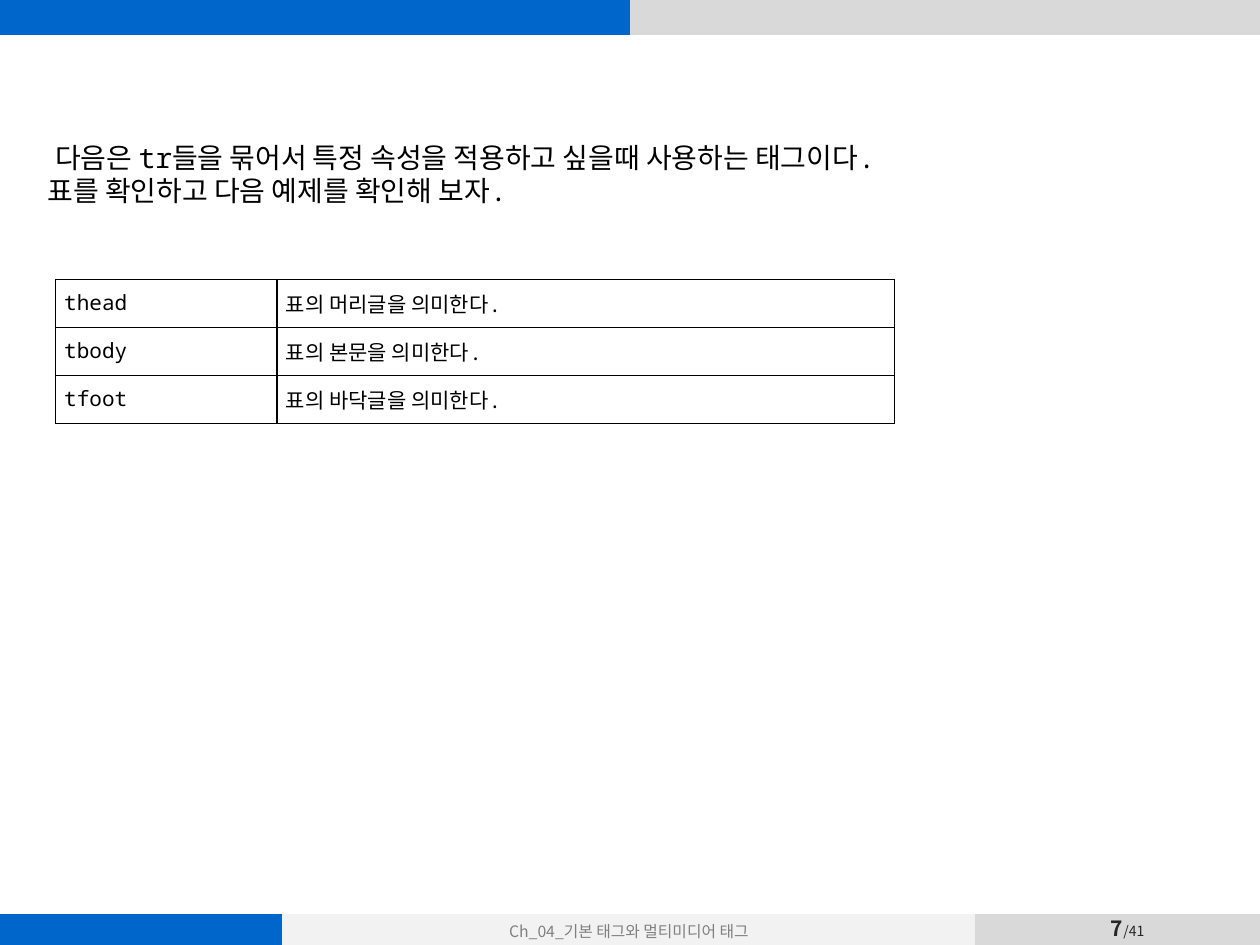
from dataclasses import dataclass

from lxml import etree
from pptx import Presentation, util as u
from pptx.dml.color import RGBColor
from pptx.enum import text
from pptx.oxml.ns import qn

PLAIN_TABLE_STYLE = "{2D5ABB26-0587-4C30-8999-92F81FD0307C}"


@dataclass(frozen=True)
class Theme:
    blue: str = "0066CC"
    gray: str = "D9D9D9"
    pale: str = "F2F2F2"
    muted: str = "808080"
    dark: str = "262626"
    black: str = "000000"
    sans: str = "Noto Sans CJK KR"
    mono: str = "Noto Sans Mono"
    lead: int = 16
    body: int = 12
    footer: int = 9
    small: int = 8


THEME = Theme()


def add_text(para, words, size=THEME.body, font=THEME.mono, color=THEME.black,
             bold=False, align=text.PP_ALIGN.LEFT):
    """Add a run in the given font, with Korean letters in the sans font."""
    para.alignment = align
    span = para.add_run()
    span.text = words
    span.font.size = u.Pt(size)
    span.font.bold = bold
    span.font.name = font
    span.font.color.rgb = RGBColor.from_string(color)
    etree.SubElement(span.font._element, qn("a:ea"), typeface=THEME.sans)


def set_margins(target, horizontal, vertical):
    target.margin_left = target.margin_right = u.Inches(horizontal)
    target.margin_top = target.margin_bottom = u.Inches(vertical)


def draw_borders(cell, color, width=1):
    properties = cell._tc.get_or_add_tcPr()
    for side in ("lnL", "lnR", "lnT", "lnB"):
        line = etree.SubElement(properties, qn(f"a:{side}"), w=str(u.Pt(width)))
        fill = etree.SubElement(line, qn("a:solidFill"))
        etree.SubElement(fill, qn("a:srgbClr"), val=color)


class SlideBuilder:
    """Places elements on a grid of 10 columns by 7.5 rows."""

    columns, rows = 10, 7.5

    def __init__(self, deck, theme):
        self.theme = theme
        self.column = deck.slide_width / self.columns
        self.row = deck.slide_height / self.rows
        self.slide = deck.slides.add_slide(deck.slide_layouts[6])

    def place(self, left, top, width, height):
        return (round(left * self.column), round(top * self.row),
                round(width * self.column), round(height * self.row))

    def table(self, left, top, widths, row_height, row_count=1):
        area = self.place(left, top, sum(widths), row_height * row_count)
        frame = self.slide.shapes.add_table(row_count, len(widths), *area)
        table = frame.table
        table.first_row = table.horz_banding = False
        table._tbl.tblPr.find(qn("a:tableStyleId")).text = PLAIN_TABLE_STYLE
        for column, width in zip(table.columns, widths):
            column.width = round(width * self.column)
        return table

    def band(self, top, height, widths, fills):
        """Draw a full-width strip of coloured cells."""
        table = self.table(0, top, widths, height)
        for cell, color in zip(table.iter_cells(), fills):
            set_margins(cell, 0, 0)
            cell.vertical_anchor = text.MSO_ANCHOR.MIDDLE
            cell.fill.solid()
            cell.fill.fore_color.rgb = RGBColor.from_string(color)
            ending = cell.text_frame.paragraphs[0]._p.get_or_add_endParaRPr()
            ending.set("sz", str(self.theme.small * 100))
        return table

    def definitions(self, left, top, widths, row_height, entries):
        table = self.table(left, top, widths, row_height, len(entries))
        words = [part for entry in entries for part in entry]
        for cell, content in zip(table.iter_cells(), words):
            set_margins(cell, 0.07, 0.07)
            draw_borders(cell, self.theme.black)
            cell.fill.background()
            add_text(cell.text_frame.paragraphs[0], content)

    def text_box(self, left, top, width, height, margins=(0.1, 0.05)):
        box = self.slide.shapes.add_textbox(*self.place(left, top, width, height))
        frame = box.text_frame
        frame.word_wrap = True
        frame.vertical_anchor = text.MSO_ANCHOR.MIDDLE
        set_margins(frame, *margins)
        return frame


def main():
    deck = Presentation()
    deck.slide_width, deck.slide_height = u.Inches(10), u.Inches(7.5)
    theme = THEME
    page = SlideBuilder(deck, theme)

    page.band(0, 0.28, [5, 5], [theme.blue, theme.gray])
    footer = page.band(7.25, 0.27, [2.24, 5.5, 0.03, 1.34, 0.91],
                       [theme.blue, theme.pale] + [theme.gray] * 3)
    add_text(footer.cell(0, 1).text_frame.paragraphs[0],
             "Ch_04_기본 태그와 멀티미디어 태그", size=theme.footer,
             font=theme.sans, color=theme.muted, align=text.PP_ALIGN.CENTER)

    number = page.text_box(8.47, 7.24, 0.96, 0.26, margins=(0, 0.05))
    for words, size, bold in (("7", theme.body, True), ("/41", theme.small, False)):
        add_text(number.paragraphs[0], words, size=size, font=theme.sans,
                 color=theme.dark, bold=bold, align=text.PP_ALIGN.CENTER)

    page.definitions(0.44, 2.22, [1.76, 4.9], 0.38, [
        ("thead", "표의 머리글을 의미한다."),
        ("tbody", "표의 본문을 의미한다."),
        ("tfoot", "표의 바닥글을 의미한다."),
    ])

    intro = page.text_box(0.28, 0.52, 8.08, 1.72)
    first = intro.paragraphs[0]
    first._p.get_or_add_pPr().set("indent", str(u.Inches(0.06)))
    add_text(first, "다음은 tr들을 묶어서 특정 속성을 적용하고 싶을때 사용하는 태그이다.",
             size=theme.lead)
    add_text(intro.add_paragraph(), "표를 확인하고 다음 예제를 확인해 보자.",
             size=theme.lead)

    deck.save("out.pptx")


if __name__ == "__main__":
    main()
